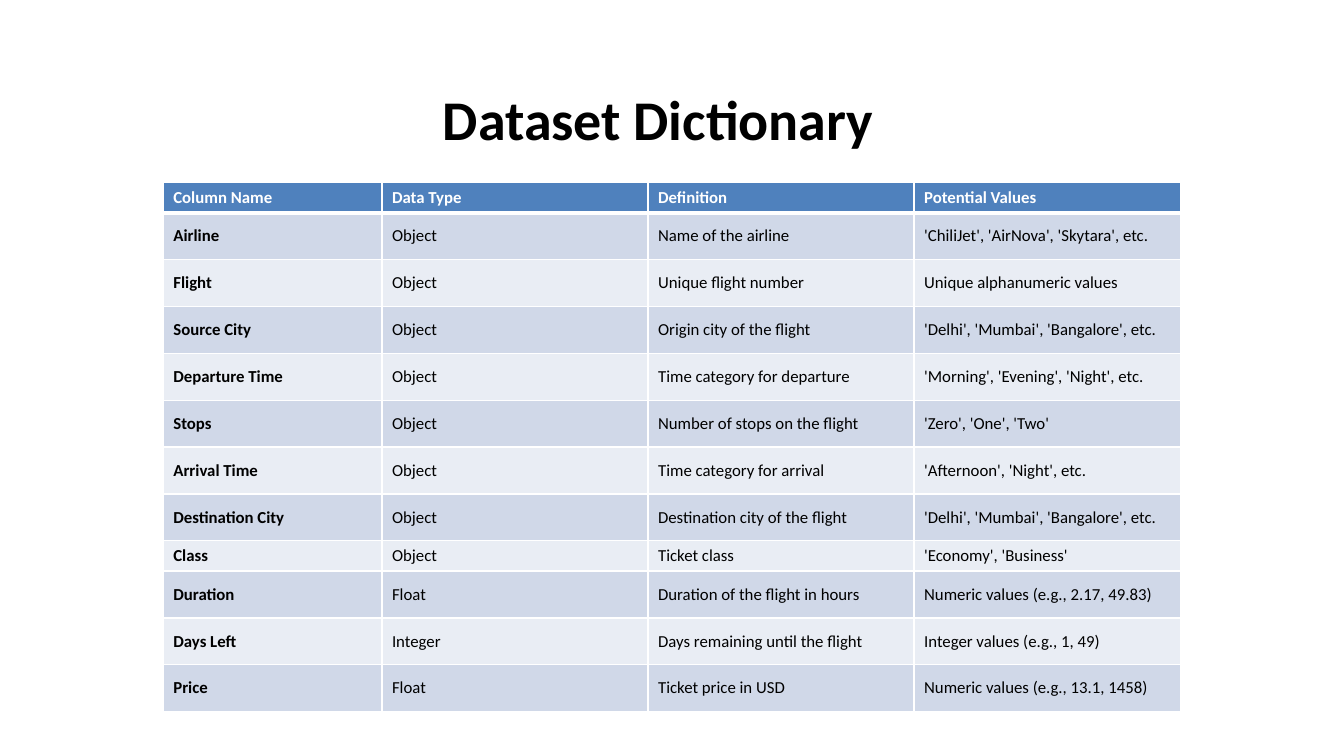
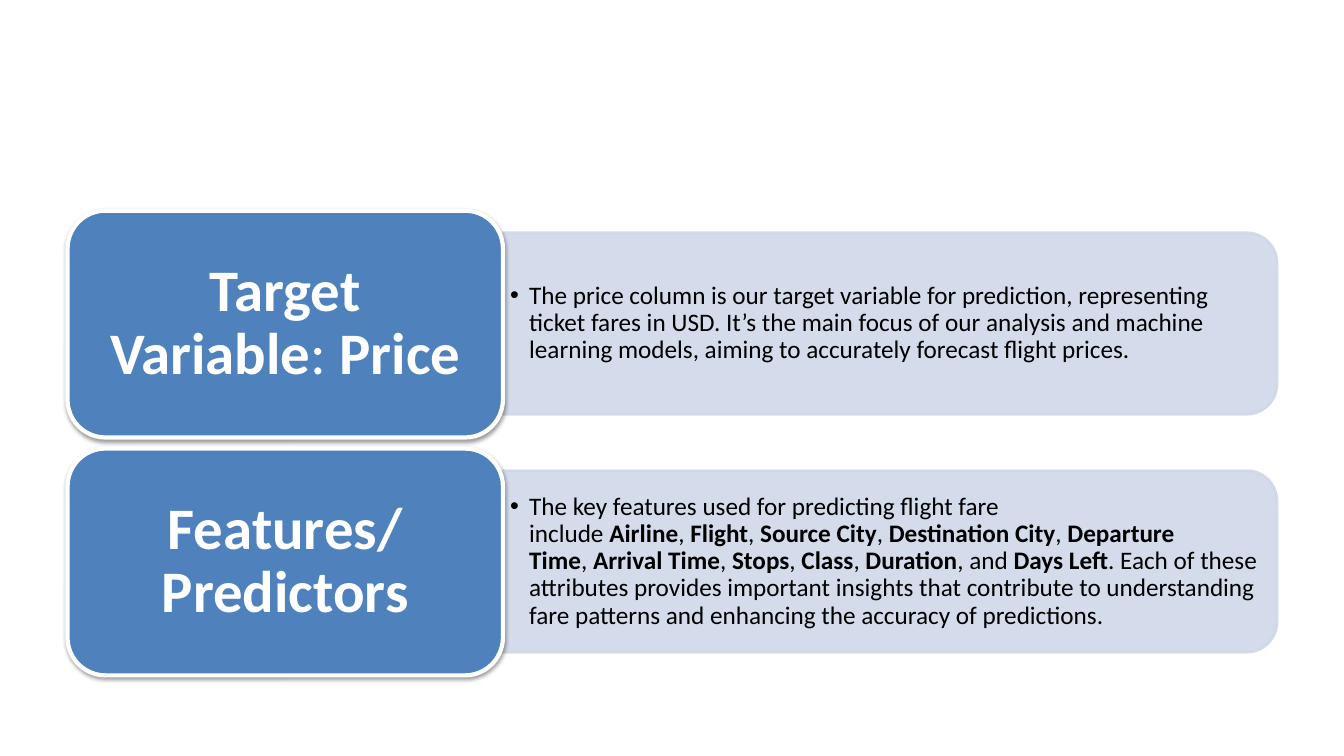
"""Build two slides on a flight fare dataset: a dictionary table and two topic rows."""
import dataclasses
import typing

import lxml.etree
import pptx
import pptx.dml.color
import pptx.enum.shapes
import pptx.enum.text
import pptx.oxml.ns
import pptx.util

SCALE = 4572
FONT = "Calibri"
BLUE, PALE, LIGHT = "4F81BD", "D0D8E8", "E9EDF4"
WHITE, BLACK = "FFFFFF", "000000"
ALIGN = pptx.enum.text.PP_ALIGN
MIDDLE = pptx.enum.text.MSO_ANCHOR.MIDDLE
KIND = pptx.enum.shapes.MSO_SHAPE
Values = dict[str, typing.Any]


@dataclasses.dataclass(frozen=True)
class Box:
    left: int
    top: int
    width: int
    height: int

    def down(self, step: int) -> "Box":
        return dataclasses.replace(self, top=self.top + step)

    def emu(self) -> list[int]:
        return [px(v) for v in (self.left, self.top, self.width, self.height)]

    def turned(self) -> "Box":
        shift = (self.width - self.height) // 2
        return Box(self.left + shift, self.top - shift, self.height, self.width)


@dataclasses.dataclass(frozen=True)
class Style:
    size: int
    color: str
    align: typing.Any = ALIGN.LEFT
    spacing: float = 1.0
    inset: tuple[int, int] = (20, 10)
    indent: int = 0


@dataclasses.dataclass(frozen=True)
class Topic:
    head: str
    body: str


TITLE = Style(40, BLACK, ALIGN.CENTER)
HEAD = Style(42, WHITE, ALIGN.CENTER, 0.9, (34, 18))
BODY = Style(18, BLACK, ALIGN.LEFT, 0.9, (14, 8), 38)

TITLE_BOX = Box(156, 90, 2300, 290)
GRID_BOX = Box(324, 362, 2018, 1048)
COLS = (434, 528, 528, 528)
HIGH, LOW = 93, 60
SIDES = ("lnL", "lnR", "lnT", "lnB")

CARD = Box(134, 418, 864, 450)
BAR = Box(998, 462, 1536, 360)
NOTE = Box(998, 480, 1518, 324)
STEP = 472

ROWS = (
    ("Column Name", "Data Type", "Definition", "Potential Values"),
    ("Airline", "Object", "Name of the airline", "'ChiliJet', 'AirNova', 'Skytara', etc."),
    ("Flight", "Object", "Unique flight number", "Unique alphanumeric values"),
    ("Source City", "Object", "Origin city of the flight", "'Delhi', 'Mumbai', 'Bangalore', etc."),
    ("Departure Time", "Object", "Time category for departure", "'Morning', 'Evening', 'Night', etc."),
    ("Stops", "Object", "Number of stops on the flight", "'Zero', 'One', 'Two'"),
    ("Arrival Time", "Object", "Time category for arrival", "'Afternoon', 'Night', etc."),
    ("Destination City", "Object", "Destination city of the flight", "'Delhi', 'Mumbai', 'Bangalore', etc."),
    ("Class", "Object", "Ticket class", "'Economy', 'Business'"),
    ("Duration", "Float", "Duration of the flight in hours", "Numeric values (e.g., 2.17, 49.83)"),
    ("Days Left", "Integer", "Days remaining until the flight", "Integer values (e.g., 1, 49)"),
    ("Price", "Float", "Ticket price in USD", "Numeric values (e.g., 13.1, 1458)"),
)

TOPICS = (
    Topic(
        "**Target Variable**:~**Price**",
        "The price column is our target variable for prediction, representing ticket fares in USD. "
        "It’s the main focus of our analysis and machine learning models, aiming to accurately "
        "forecast flight prices.",
    ),
    Topic(
        "**Features/ Predictors**",
        "The key features used for predicting flight fare include~**Airline**,~**Flight**,~"
        "**Source City**,~**Destination City**,~**Departure Time**,~**Arrival Time**,~**Stops**,~"
        "**Class**,~**Duration**, and~**Days Left**. Each of these attributes provides important "
        "insights that contribute to understanding fare patterns and enhancing the accuracy of "
        "predictions.",
    ),
)


def px(count: int) -> int:
    return count * SCALE


def rgb(code: str) -> pptx.dml.color.RGBColor:
    return pptx.dml.color.RGBColor.from_string(code)


def put(item: typing.Any, values: Values) -> None:
    for name, value in values.items():
        setattr(item, name, value)


def add(parent: typing.Any, tag: str, **attrs: str) -> typing.Any:
    return lxml.etree.SubElement(parent, pptx.oxml.ns.qn("a:" + tag), attrs)


def write(frame: typing.Any, text: str, style: Style) -> None:
    across, along = map(px, style.inset)
    put(frame, {
        "word_wrap": True, "vertical_anchor": MIDDLE,
        "margin_left": across, "margin_right": across,
        "margin_top": along, "margin_bottom": along,
    })
    fill_line(frame.paragraphs[0], text, style)


def fill_line(line: typing.Any, text: str, style: Style) -> None:
    put(line, {"alignment": style.align, "line_spacing": style.spacing})
    if style.indent:
        props = line._p.get_or_add_pPr()
        props.set("marL", str(px(style.indent)))
        props.set("indent", str(-px(style.indent)))
        add(props, "buFont", typeface="Arial")
        add(props, "buChar", char="•")
    for index, part in enumerate(text.replace("~", chr(160)).split("**")):
        if part:
            run = line.add_run()
            run.text = part
            put(run.font, {"size": pptx.util.Pt(style.size), "name": FONT, "bold": index % 2 == 1})
            run.font.color.rgb = rgb(style.color)


def add_text(slide: typing.Any, box: Box, text: str, style: Style) -> None:
    write(slide.shapes.add_textbox(*box.emu()).text_frame, text, style)


def add_form(slide: typing.Any, kind: typing.Any, box: Box, fill: str, edge: str, width: int) -> typing.Any:
    form = slide.shapes.add_shape(kind, *box.emu())
    form.shadow.inherit = False
    form.fill.solid()
    form.fill.fore_color.rgb = rgb(fill)
    form.line.color.rgb = rgb(edge)
    form.line.width = pptx.util.Pt(width)
    return form


def add_bar(slide: typing.Any, box: Box) -> None:
    bar = add_form(slide, KIND.ROUND_2_SAME_RECTANGLE, box.turned(), PALE, PALE, 2)
    bar.rotation = 90
    for color in bar._element.spPr.iter(pptx.oxml.ns.qn("a:srgbClr")):
        add(color, "alpha", val="90000")


def add_card(slide: typing.Any, box: Box, text: str) -> None:
    card = add_form(slide, KIND.ROUNDED_RECTANGLE, box, BLUE, WHITE, 3)
    effects = card._element.spPr.find(pptx.oxml.ns.qn("a:effectLst"))
    shade = add(
        effects, "outerShdw", blurRad=str(pptx.util.Pt(3.1)), dist=str(pptx.util.Pt(1.6)),
        dir="5400000", rotWithShape="0",
    )
    add(add(shade, "srgbClr", val=BLACK), "alpha", val="38000")
    write(card.text_frame, text, HEAD)


def add_edges(cell: typing.Any, base: int) -> None:
    props = cell._tc.get_or_add_tcPr()
    for side in SIDES:
        width = pptx.util.Pt(base if side == "lnB" else 1)
        edge = add(props, side, w=str(width))
        add(add(edge, "solidFill"), "srgbClr", val=WHITE)


def add_grid(slide: typing.Any) -> None:
    grid = slide.shapes.add_table(len(ROWS), len(COLS), *GRID_BOX.emu()).table
    put(grid, {"first_row": False, "horz_banding": False})
    for col, width in zip(grid.columns, COLS):
        col.width = px(width)
    for i, row in enumerate(ROWS):
        top = i == 0
        grid.rows[i].height = px(LOW if row[0] in ("Column Name", "Class") else HIGH)
        shade = BLUE if top else (PALE if i % 2 else LIGHT)
        style = Style(12, WHITE if top else BLACK)
        for j, text in enumerate(row):
            cell = grid.cell(i, j)
            add_edges(cell, 3 if top else 1)
            cell.fill.solid()
            cell.fill.fore_color.rgb = rgb(shade)
            cell.vertical_anchor = MIDDLE
            mark = "**" if top or j == 0 else ""
            fill_line(cell.text_frame.paragraphs[0], mark + text + mark, style)


def main() -> None:
    deck = pptx.Presentation()
    put(deck, {"slide_width": px(2667), "slide_height": px(1500)})
    blank = deck.slide_layouts[6]

    slide = deck.slides.add_slide(blank)
    add_text(slide, TITLE_BOX, "**Dataset Dictionary**", TITLE)
    add_grid(slide)

    slide = deck.slides.add_slide(blank)
    for i, topic in enumerate(TOPICS):
        step = i * STEP
        add_bar(slide, BAR.down(step))
        add_text(slide, NOTE.down(step), topic.body, BODY)
        add_card(slide, CARD.down(step), topic.head)

    deck.save("out.pptx")


if __name__ == "__main__":
    main()
